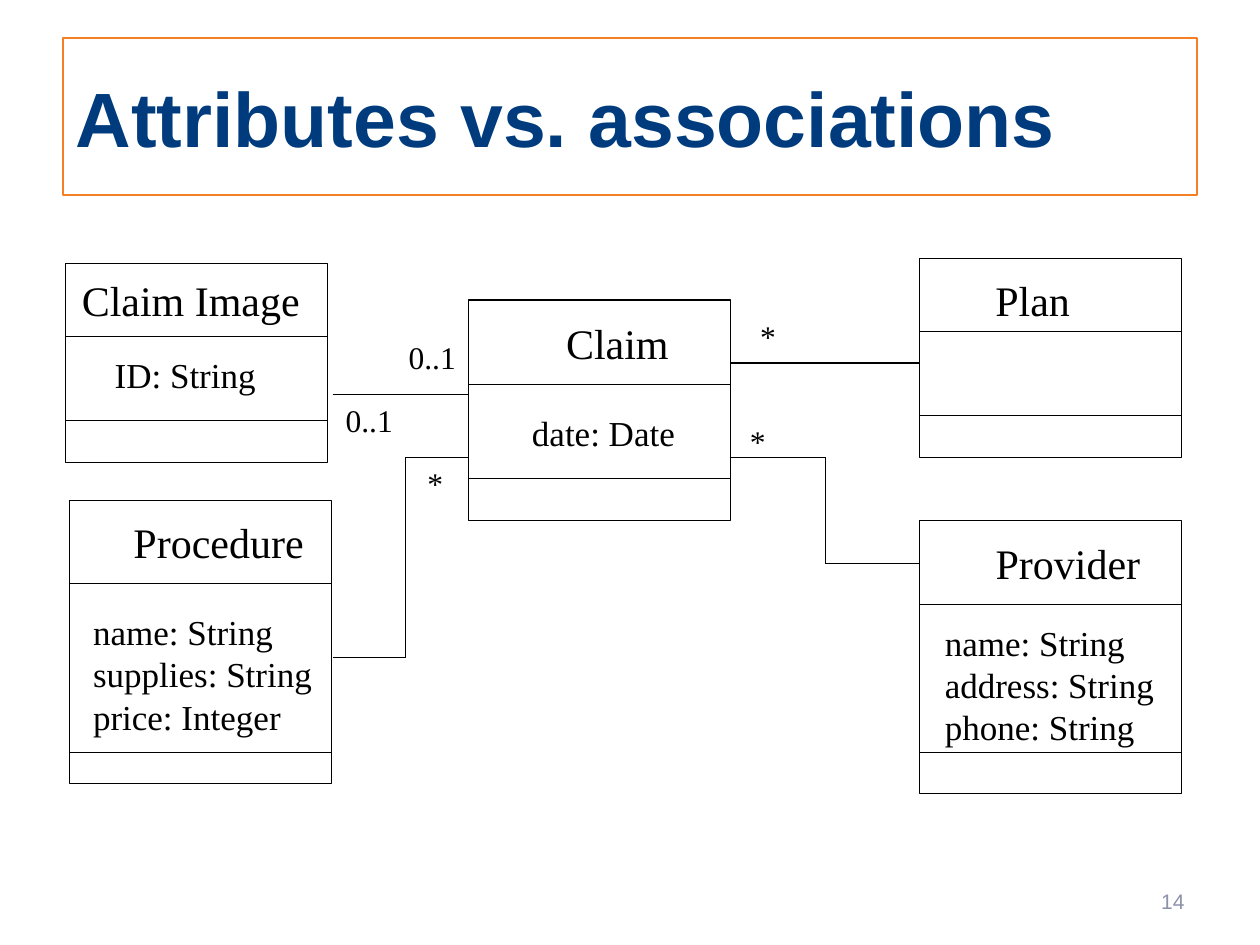
from itertools import pairwise

from lxml import etree
from pptx import Presentation
from pptx.dml.color import RGBColor
from pptx.enum.shapes import MSO_CONNECTOR, MSO_SHAPE
from pptx.enum.text import MSO_ANCHOR, MSO_AUTO_SIZE, PP_ALIGN
from pptx.oxml.ns import qn
from pptx.util import Pt

LEFT, CENTER, RIGHT = PP_ALIGN.LEFT, PP_ALIGN.CENTER, PP_ALIGN.RIGHT
TOP, MIDDLE = MSO_ANCHOR.TOP, MSO_ANCHOR.MIDDLE
FIT, FIXED = MSO_AUTO_SIZE.SHAPE_TO_FIT_TEXT, MSO_AUTO_SIZE.NONE
RECTANGLE, STRAIGHT = MSO_SHAPE.RECTANGLE, MSO_CONNECTOR.STRAIGHT

PX = 9144  # 100 px to the inch
TITLE_ONLY = 5
COLORS = {"ink": "000000", "title": "003C7D", "frame": "F47F24", "number": "8C92AA"}
CLASS_WIDTH = 208

# left, top, height, divider heights, name and its box, attributes and their box
CLASSES = [
    (52, 209, 158, (267, 334), "Claim Image", (55, 213, 193, 50),
     ["ID: String"], (81, 276, 132, 43)),
    (730, 205, 158, (263, 330), "Plan", (780, 213, 79, 50), [], None),
    (372, 238, 175, (305, 380), "Claim", (439, 247, 102, 50),
     ["date: Date"], (412, 322, 134, 43)),
    (55, 397, 225, (463, 597), "Procedure", (96, 405, 155, 50),
     ["name: String", "supplies: String", "price: Integer"], (64, 480, 194, 110)),
    (730, 413, 217, (480, 597), "Provider", (780, 422, 135, 50),
     ["name: String", "address: String", "phone: String"], (740, 488, 186, 110)),
]
ASSOCIATIONS = [
    [(264, 313), (372, 313)],
    [(580, 288), (730, 288)],
    [(580, 363), (655, 363), (655, 447), (730, 447)],
    [(372, 363), (322, 363), (322, 522), (264, 522)],
]
MULTIPLICITIES = [
    ("0..1", (264, 313, 58, 40)),
    ("0..1", (314, 263, 58, 40)),
    ("*", (329, 363, 33, 40)),
    ("*", (593, 247, 33, 40)),
    ("*", (585, 330, 33, 40)),
]


def emu(lengths):
    return [length * PX for length in lengths]


def apply(target, values):
    for name, value in values.items():
        setattr(target, name, value)


class ClassDiagram:
    def __init__(self, page):
        self.page = page
        self.font = "Times New Roman"
        self.stroke = 0.75

    def outline(self, line, color="ink", width=None):
        line.color.rgb = RGBColor.from_string(COLORS[color])
        line.width = Pt(width or self.stroke)

    def fill_text(self, frame, lines, size, align, color="ink", font=None, bold=False):
        for index, words in enumerate(lines):
            para = frame.add_paragraph() if index else frame.paragraphs[0]
            para.alignment = align
            span = para.add_run()
            span.text = words
            apply(span.font, {"name": font or self.font, "size": Pt(size), "bold": bold})
            span.font.color.rgb = RGBColor.from_string(COLORS[color])

    def title(self, words, place):
        box = self.page.shapes.title
        apply(box, dict(zip(("left", "top", "width", "height"), emu(place))))
        box.fill.background()
        self.outline(box.line, "frame", 1)
        apply(box.text_frame, {"vertical_anchor": MIDDLE, "word_wrap": True,
                               "auto_size": FIXED})
        self.fill_text(box.text_frame, [words], 44, LEFT, "title", "Arial", True)

    def label(self, lines, place, size, align=CENTER):
        frame = self.page.shapes.add_textbox(*emu(place)).text_frame
        apply(frame, {"word_wrap": False, "auto_size": FIT, "vertical_anchor": TOP})
        self.fill_text(frame, lines, size, align)

    def page_number(self, words, place):
        frame = self.page.shapes.add_textbox(*emu(place)).text_frame
        apply(frame, {"word_wrap": True, "auto_size": FIXED, "vertical_anchor": MIDDLE})
        self.fill_text(frame, [words], 12, RIGHT, "number", "Arial")

    def line(self, start, end):
        connector = self.page.shapes.add_connector(STRAIGHT, *emu(start + end))
        self.outline(connector.line)
        etree.SubElement(connector._element.spPr, qn("a:effectLst"))

    def association(self, points):
        for start, end in pairwise(points):
            self.line(start, end)

    def uml_class(self, left, top, height, dividers, name, name_place,
                  attributes, attributes_place):
        box = self.page.shapes.add_shape(
            RECTANGLE, *emu((left, top, CLASS_WIDTH, height)))
        box.shadow.inherit = False
        box.fill.background()
        self.outline(box.line)
        for y in dividers:
            self.line((left, y), (left + CLASS_WIDTH, y))
        self.label([name], name_place, 24)
        if attributes:
            align = LEFT if len(attributes) > 1 else CENTER
            self.label(attributes, attributes_place, 20, align)


def main():
    deck = Presentation()
    deck.slide_width, deck.slide_height = emu((1000, 750))
    page = deck.slides.add_slide(deck.slide_layouts[TITLE_ONLY])
    diagram = ClassDiagram(page)
    diagram.title("Attributes vs. associations", (50, 30, 900, 125))
    for entry in CLASSES:
        diagram.uml_class(*entry)
    for points in ASSOCIATIONS:
        diagram.association(points)
    for words, place in MULTIPLICITIES:
        diagram.label([words], place, 18)
    diagram.page_number("14", (717, 695, 233, 40))
    deck.save("out.pptx")


if __name__ == "__main__":
    main()
